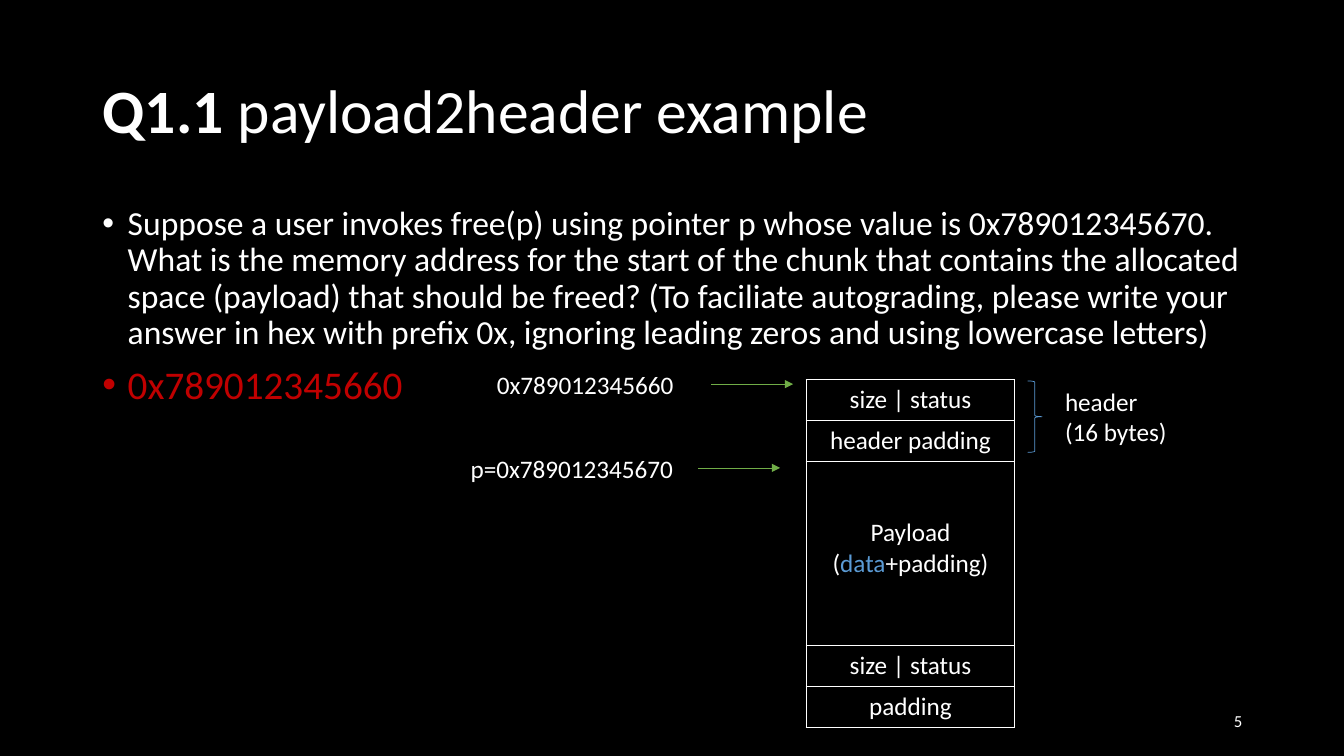
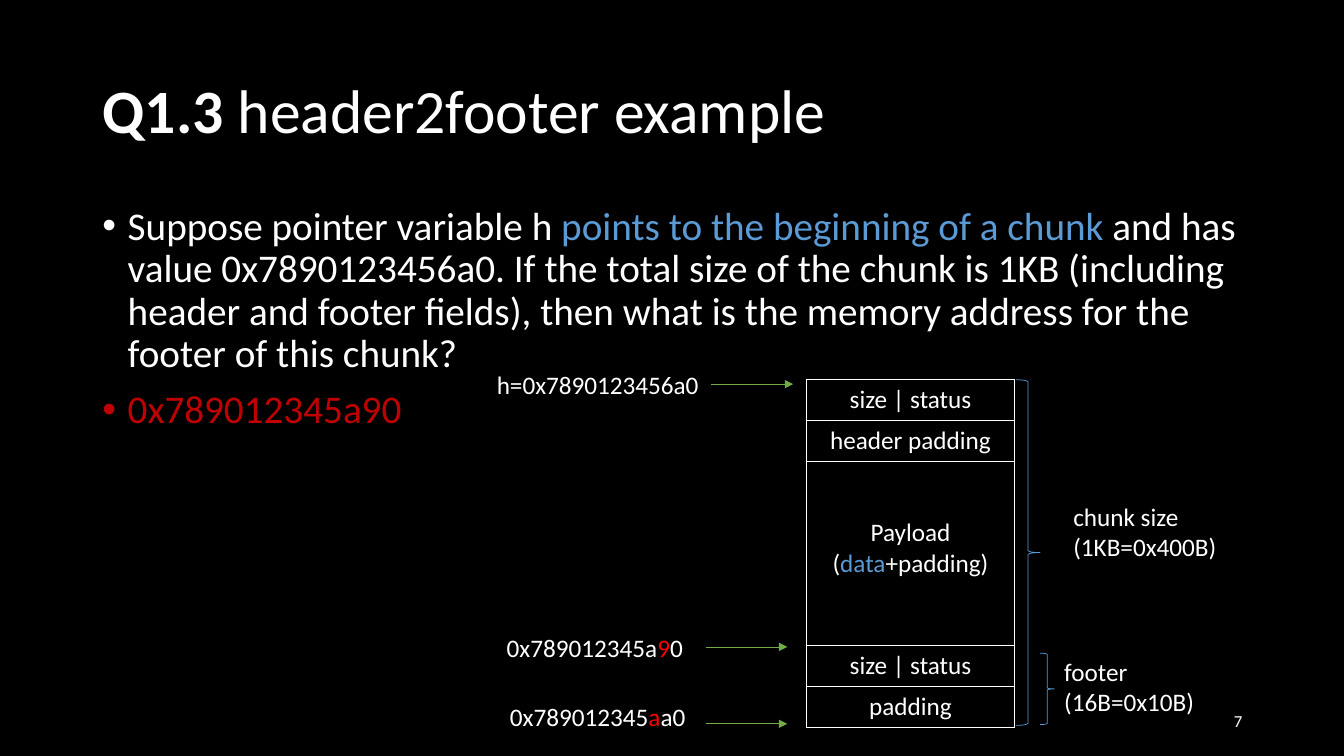
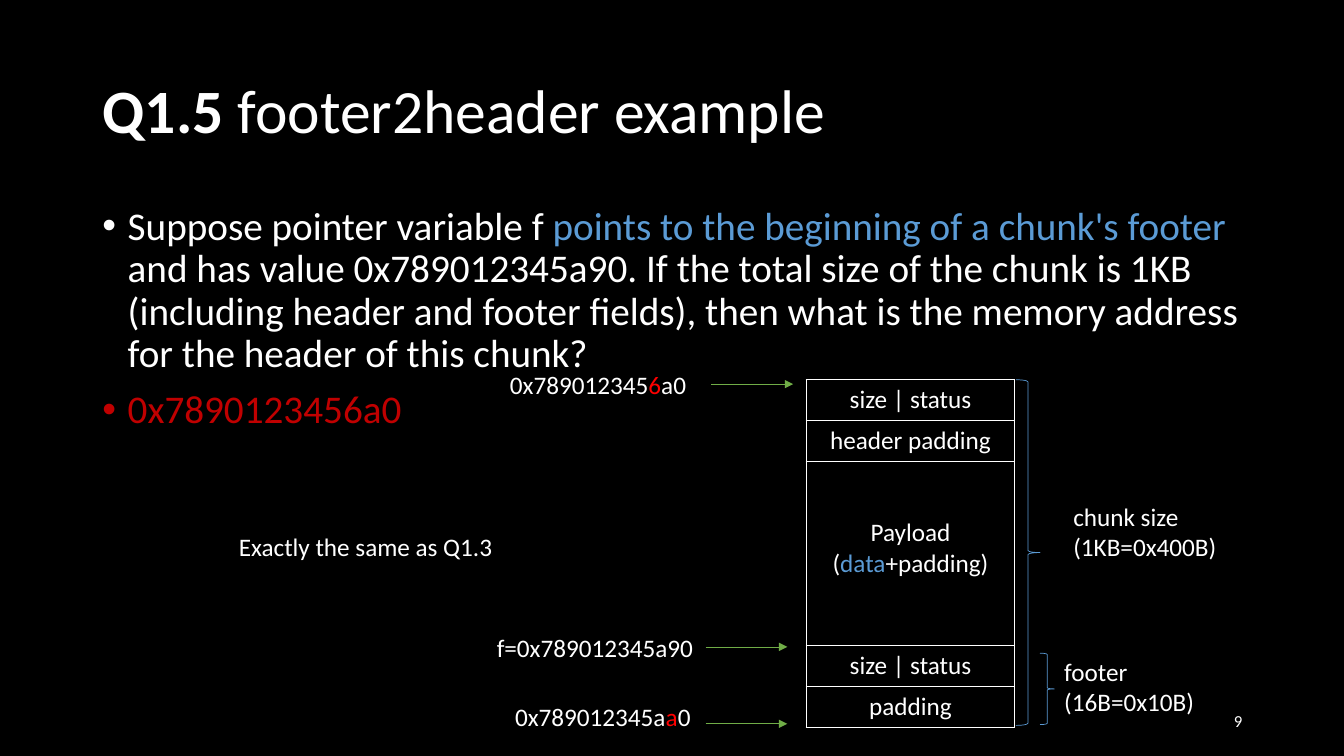
"""Build three slides on finding the header and footer of a memory chunk."""
from lxml import etree
from pptx import Presentation
from pptx import util as u
from pptx.dml.color import RGBColor
from pptx.enum import shapes, text
from pptx.oxml.ns import qn

HUES = {
    "back": "000000",
    "white": "FFFFFF",
    "blue": "5B9BD5",
    "green": "70AD47",
    "red": "FF0000",
    "crimson": "C00000",
}
LEFT = text.PP_ALIGN.LEFT
RIGHT = text.PP_ALIGN.RIGHT
MID = text.PP_ALIGN.CENTER


def hue(name):
    return RGBColor.from_string(HUES[name])


def apply(item, values):
    for key, value in values.items():
        setattr(item, key, value)


def add(parent, tag, **values):
    return etree.SubElement(parent, qn(tag), values)


class Deck:
    """Hold the shared style and the current slide."""

    font = "Calibri"
    left, wide = 2.33, 29.21
    rows = [
        (["size | status"], 1.03),
        (["header padding"], 1.03),
        (["Payload", ["(", ("data", "blue"), "+padding)"]], 4.64),
        (["size | status"], 1.03),
        (["padding"], 1.03),
    ]

    def __init__(self):
        self.prs = Presentation()
        apply(self.prs, {"slide_width": u.Cm(33.87), "slide_height": u.Cm(19.05)})
        fill = self.prs.slide_master.background.fill
        fill.solid()
        fill.fore_color.rgb = hue("back")
        self.slide = None

    def put(self, para, runs, size=18, **form):
        apply(para, form)
        for part in [runs] if isinstance(runs, str) else runs:
            words, name = (part, "white") if isinstance(part, str) else part
            run = para.add_run()
            run.text = words
            apply(run.font, {"name": self.font, "size": u.Pt(size)})
            run.font.color.rgb = hue(name)

    def fill(self, frame, lines, **form):
        for num, runs in enumerate(lines):
            para = frame.add_paragraph() if num else frame.paragraphs[0]
            self.put(para, runs, **form)

    def page(self, num, code, topic):
        self.slide = self.prs.slides.add_slide(self.prs.slide_layouts[5])
        title = self.slide.shapes.title
        apply(title, {"left": u.Cm(self.left), "top": u.Cm(1.01),
                      "width": u.Cm(self.wide), "height": u.Cm(3.68)})
        apply(title.text_frame, {"auto_size": text.MSO_AUTO_SIZE.NONE,
                                 "vertical_anchor": text.MSO_ANCHOR.MIDDLE})
        para = title.text_frame.paragraphs[0]
        self.put(para, [code + " ", topic], 44, alignment=LEFT, line_spacing=0.9)
        for run, bold in zip(para.runs, (True, False)):
            run.font.bold = bold
        frame = self.box(23.94, 17.65, 7.62, 1.01)
        frame.vertical_anchor = text.MSO_ANCHOR.MIDDLE
        self.put(frame.paragraphs[0], str(num), 12, alignment=RIGHT)

    def box(self, x, y, w, h, wrap=True):
        shape = self.slide.shapes.add_textbox(*map(u.Cm, (x, y, w, h)))
        shape.text_frame.word_wrap = wrap
        return shape.text_frame

    def label(self, x, y, w, *lines):
        self.fill(self.box(x, y, w, 1.8), lines)

    def mark(self, x, y, w, *runs):
        self.fill(self.box(x, y, w, 1.01, wrap=False), [runs])

    def body(self, ask, answer, size=28):
        frame = self.box(self.left, 5.08, self.wide, 12.09)
        items = [(ask, size), ([(answer, "crimson")], 28)]
        for num, (runs, points) in enumerate(items):
            para = frame.add_paragraph() if num else frame.paragraphs[0]
            props = para._p.get_or_add_pPr()
            indent = u.Cm(0.64)
            props.set("marL", str(indent))
            props.set("indent", str(-indent))
            add(props, "a:buFont", typeface="Arial")
            add(props, "a:buChar", char="•")
            self.put(para, runs, points, line_spacing=0.9)
            if num:
                para.space_before = u.Pt(10)

    def chunk(self):
        place = map(u.Cm, (20.32, 9.57, 5.25, sum(h for _, h in self.rows)))
        table = self.slide.shapes.add_table(len(self.rows), 1, *place).table
        apply(table, {"first_row": False, "horz_banding": False})
        for num, (lines, high) in enumerate(self.rows):
            table.rows[num].height = u.Cm(high)
            cell = table.cell(num, 0)
            self.fill(cell.text_frame, lines, alignment=MID)
            if len(lines) > 1:
                apply(cell, {"vertical_anchor": text.MSO_ANCHOR.MIDDLE,
                             "margin_bottom": u.Cm(0.41)})
            self.edge(cell)

    def edge(self, cell):
        props = cell._tc.get_or_add_tcPr()
        for side in "LRTB":
            line = add(props, f"a:ln{side}", w=str(u.Pt(1)))
            add(add(line, "a:solidFill"), "a:srgbClr", val=HUES["white"])
        cell.fill.background()

    def brace(self, x, y, w, h):
        kind = shapes.MSO_SHAPE.RIGHT_BRACE
        shape = self.slide.shapes.add_shape(kind, *map(u.Cm, (x, y, w, h)))
        shape.shadow.inherit = False
        shape.fill.background()
        self.stroke(shape.line, "blue")

    def arrow(self, x, y):
        ends = map(u.Cm, (x, y, x + 2.06, y))
        line = self.slide.shapes.add_connector(shapes.MSO_CONNECTOR.STRAIGHT, *ends)
        self.stroke(line.line, "green")
        props = line._element.spPr
        add(props.find(qn("a:ln")), "a:tailEnd", type="triangle")
        add(props, "a:effectLst")

    def stroke(self, line, name):
        line.color.rgb = hue(name)
        line.width = u.Pt(0.5)

    def sizes(self):
        self.brace(26.21, 16.46, 0.36, 1.8)
        self.label(26.57, 16.41, 4.01, "footer", "(16B=0x10B)")
        self.brace(25.6, 9.57, 0.61, 8.71)
        self.label(26.8, 12.5, 4.17, "chunk size", "(1KB=0x400B)")
        for x, y in [(17.93, 9.68), (17.78, 16.3), (17.78, 18.24)]:
            self.arrow(x, y)


def main():
    deck = Deck()

    deck.page(5, "Q1.1", "payload2header example")
    deck.body(
        "Suppose a user invokes free(p) using pointer p whose value is "
        "0x789012345670. What is the memory address for the start of the chunk "
        "that contains the allocated space (payload) that should be freed? "
        "(To faciliate autograding, please write your answer in hex with prefix "
        "0x, ignoring leading zeros and using lowercase letters)",
        "0x789012345660", 24)
    deck.chunk()
    deck.brace(25.9, 9.6, 0.36, 1.8)
    deck.label(26.59, 9.6, 3.28, "header", "(16 bytes)")
    deck.arrow(17.93, 9.68)
    deck.arrow(17.6, 11.79)
    deck.mark(12.27, 9.17, 5, "0x789012345660")
    deck.mark(11.61, 11.3, 5.66, "p=0x789012345670")

    ask = ("and has value {}. If the total size of the chunk is 1KB (including "
           "header and footer fields), then what is the memory address for the "
           "{} of this chunk?")

    deck.page(7, "Q1.3", "header2footer example")
    deck.body(["Suppose pointer variable h ",
               ("points to the beginning of a chunk ", "blue"),
               ask.format("0x7890123456a0", "footer")], "0x789012345a90")
    deck.chunk()
    deck.sizes()
    deck.mark(12.27, 9.17, 5.66, "h=0x7890123456a0")
    deck.mark(12.52, 15.8, 5, "0x789012345a", ("9", "red"), "0")
    deck.mark(12.6, 17.55, 5, "0x789012345", ("a", "red"), "a0")

    deck.page(9, "Q1.5", "footer2header example")
    deck.body(["Suppose pointer variable f ",
               ("points to the beginning of a chunk's footer ", "blue"),
               ask.format("0x789012345a90", "header")], "0x7890123456a0")
    deck.chunk()
    deck.sizes()
    deck.mark(12.6, 9.17, 5, "0x789012345", ("6", "red"), "a0")
    deck.mark(12.27, 15.82, 5.51, "f=0x789012345a90")
    deck.mark(12.73, 17.55, 5, "0x789012345a", ("a", "red"), "0")
    deck.mark(5.77, 13.26, 6.96, "Exactly the same as Q1.3")

    deck.prs.save("out.pptx")


if __name__ == "__main__":
    main()
